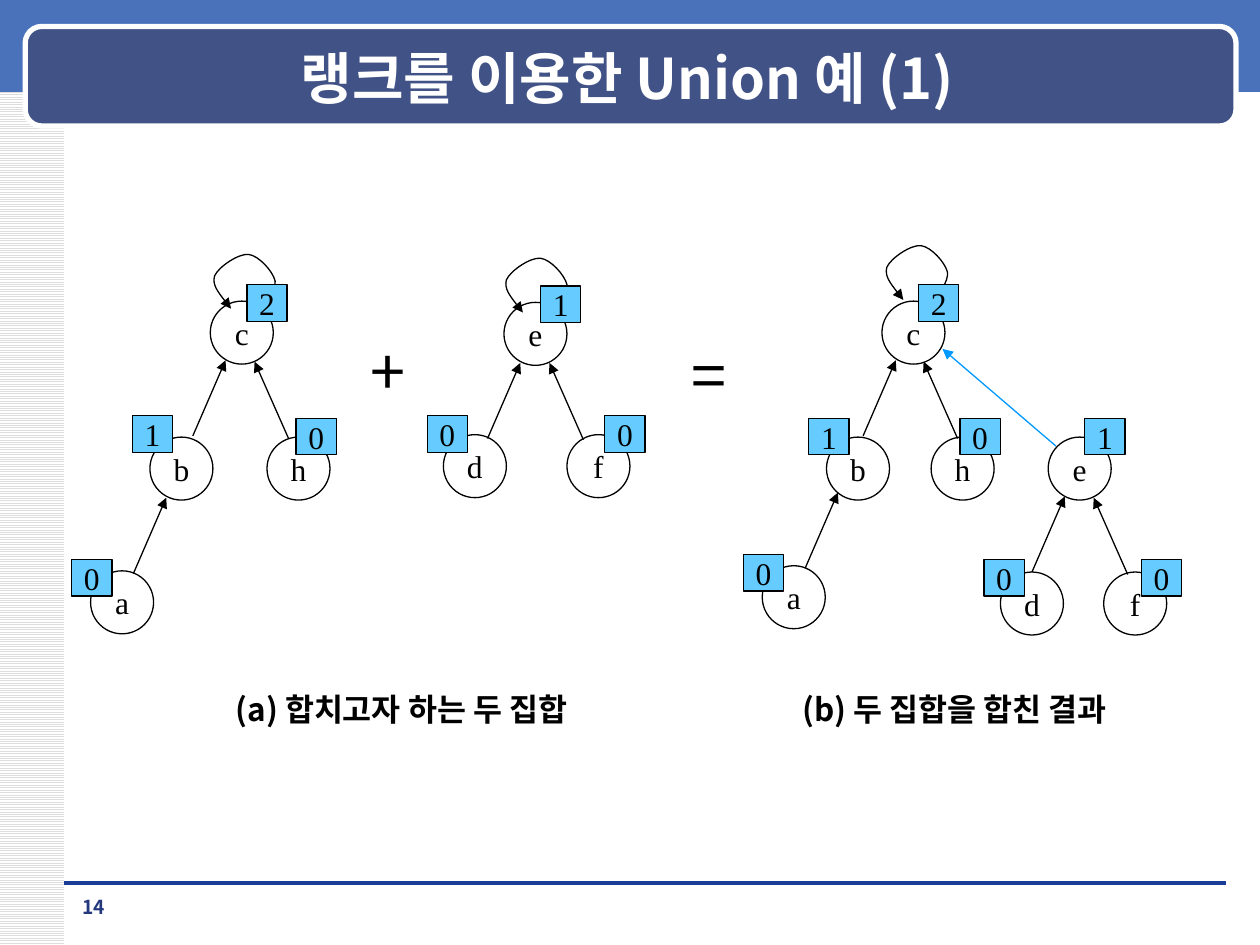
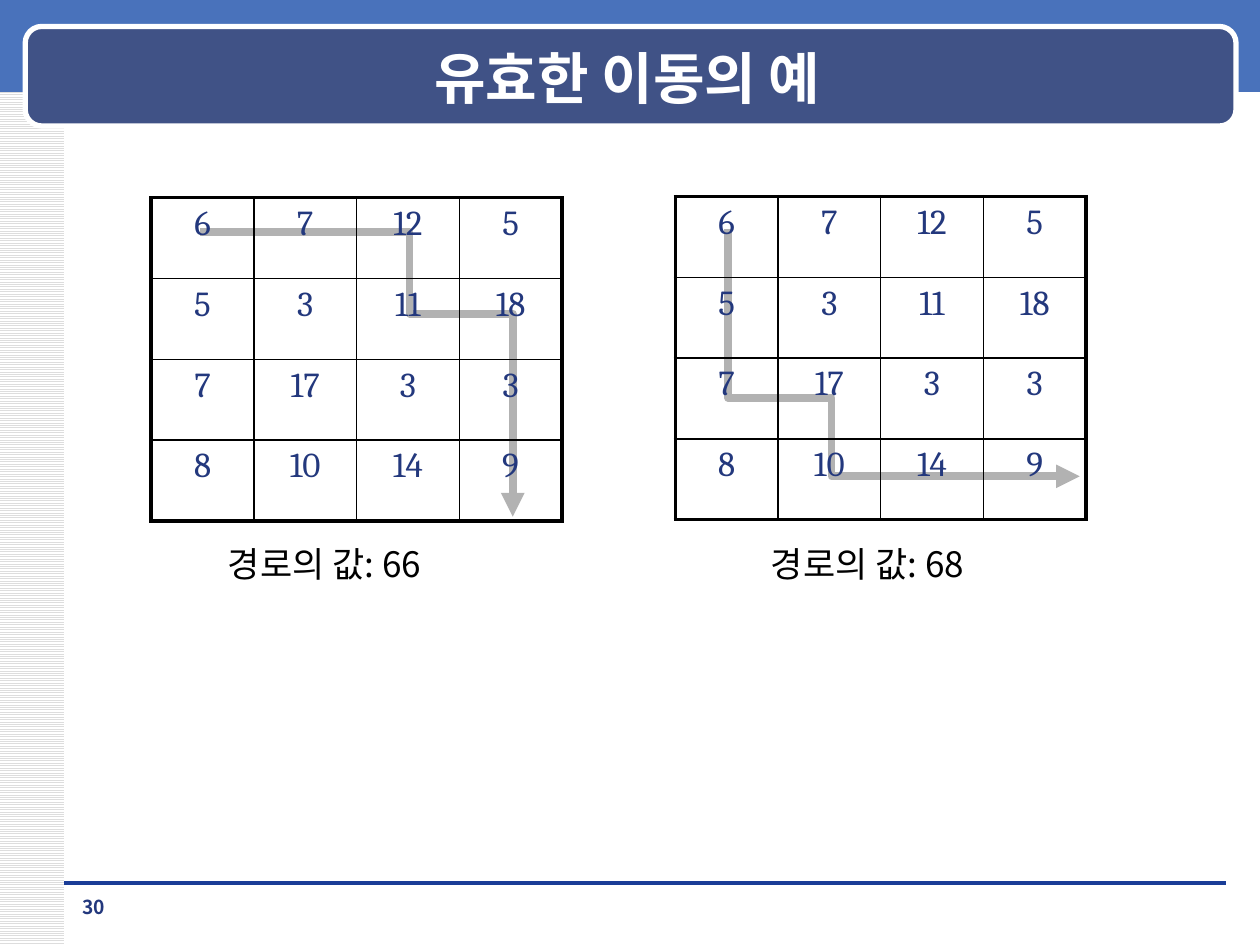
from lxml import etree
from pptx import Presentation
from pptx.dml.color import RGBColor
from pptx.enum.dml import MSO_PATTERN
from pptx.enum.shapes import MSO_CONNECTOR, MSO_SHAPE
from pptx.enum.text import MSO_ANCHOR, MSO_AUTO_SIZE, PP_ALIGN
from pptx.oxml.ns import qn
from pptx.util import Pt

RECT, ROUND, OVAL = MSO_SHAPE.RECTANGLE, MSO_SHAPE.ROUNDED_RECTANGLE, MSO_SHAPE.OVAL
LINE = MSO_CONNECTOR.STRAIGHT
LEFT, MID = PP_ALIGN.LEFT, PP_ALIGN.CENTER
GROW = MSO_AUTO_SIZE.SHAPE_TO_FIT_TEXT
SANS, SERIF, TIMES = "Noto Sans CJK KR", "Cambria", "Times New Roman"
HUE = {
    "white": "FFFFFF", "black": "000000", "navy": "23387D", "band": "4972BB",
    "plate": "405286", "rule": "1A3D97", "stripe": "DDDDDD", "rank": "66CCFF",
    "link": "0099FF", "route": "B2B2B2",
}


def write(frame, text, size=18, font=SANS, hue="black", bold=False, align=MID):
    par = frame.paragraphs[0]
    par.alignment = align
    run = par.add_run()
    run.text = text
    run.font.size, run.font.name, run.font.bold = Pt(size), font, bold
    run.font.color.rgb = RGBColor.from_string(HUE[hue])


def paint(part, fill=None, line=None, width=0.75, head=False):
    if fill:
        part.fill.solid()
        part.fill.fore_color.rgb = RGBColor.from_string(HUE[fill])
    elif hasattr(part, "fill"):
        part.fill.background()
    if line:
        part.line.color.rgb = RGBColor.from_string(HUE[line])
        part.line.width = Pt(width)
    else:
        part.line.fill.background()
    if head:
        stroke = part.element.find(".//" + qn("a:ln"))
        etree.SubElement(stroke, qn("a:tailEnd"), type="triangle")
    if hasattr(part, "shadow"):
        part.shadow.inherit = False
    else:
        etree.SubElement(part.element.find(qn("p:spPr")), qn("a:effectLst"))


deck = Presentation()
deck.slide_width, deck.slide_height = Pt(720), Pt(540)
layout = deck.slide_layouts[5]
for holder in list(layout.placeholders)[1:]:
    holder.element.getparent().remove(holder.element)

# Titles and page numbers
slides = []
for name, page in (("랭크를 이용한 Union 예 (1)", "14"), ("유효한 이동의 예", "30")):
    slide = deck.slides.add_slide(layout)
    slides.append(slide)
    title = slide.shapes.title
    title.left, title.top, title.width, title.height = Pt(51.1), Pt(21.6), Pt(614.9), Pt(44.6)
    title.text_frame.vertical_anchor = MSO_ANCHOR.MIDDLE
    write(title.text_frame, name, size=32, hue="white", bold=True)
union, moves = slides

# Shared bands, built once and moved to the layout behind the title
shapes = union.shapes
strip = shapes.add_shape(RECT, Pt(0), Pt(0), Pt(36.7), Pt(540))
paint(strip)
strip.fill.patterned()
strip.fill.pattern = MSO_PATTERN.LIGHT_HORIZONTAL
strip.fill.fore_color.rgb = RGBColor.from_string(HUE["stripe"])
strip.fill.back_color.rgb = RGBColor.from_string(HUE["white"])
band = shapes.add_shape(RECT, Pt(0), Pt(-2.2), Pt(720), Pt(54.7))
paint(band, fill="band")
rule = shapes.add_connector(LINE, Pt(36.7), Pt(504.7), Pt(700.6), Pt(504.7))
paint(rule, line="rule", width=0)
plate = shapes.add_shape(ROUND, Pt(14.4), Pt(15.1), Pt(691.9), Pt(56.9))
paint(plate, fill="plate", line="white", width=3)
for spot, part in enumerate((strip, band, rule, plate), 2):
    layout.shapes.element.insert(spot, part.element)

# Loops on the roots: start point, then three points for each curve
LOOP = [(25.9, 34.6), (31, 28.1), (36.7, 21.6), (36, 15.8), (34.6, 10.1), (26.6, 1.4),
        (20.9, 0.7), (15.1, 0), (3.6, 7.9), (1.4, 13), (0, 18), (5, 24.5), (10.8, 31.7)]
for x, y in ((288, 146.9), (121.2, 144.7), (505.4, 139.7)):
    dots = [(Pt(x + dx), Pt(y + dy)) for dx, dy in LOOP]
    pen = shapes.build_freeform(*dots[0])
    pen.add_line_segments(dots[1:], close=False)
    loop = pen.convert_to_shape()
    paint(loop, line="black", head=True)
    steps = list(loop.element.iter(qn("a:lnTo")))
    track = steps[0].getparent()
    for i in range(0, len(steps), 3):
        curve = etree.SubElement(track, qn("a:cubicBezTo"))
        for step in steps[i:i + 3]:
            curve.append(step[0])
            track.remove(step)

# Nodes with their ranks: letter, x, y, rank, rank x, rank y
NODES = [
    ("c", 120.2, 172.1, "2", 141.1, 162.7), ("b", 85.7, 249.8, "1", 75.6, 237.6),
    ("h", 152.6, 249.8, "0", 169.2, 239), ("a", 51.8, 326.2, "0", 41, 319.7),
    ("e", 288, 172.8, "1", 308.9, 163.4), ("d", 253.4, 248.4, "0", 244.1, 237.6),
    ("f", 324, 248.4, "0", 345.6, 237.6),
    ("c", 504, 172.1, "2", 524.9, 162.7), ("b", 472.3, 249.8, "1", 462.2, 239),
    ("h", 532.1, 249.8, "0", 548.6, 239), ("a", 435.6, 323.3, "0", 424.8, 316.8),
    ("e", 599, 249.8, "1", 619.9, 239), ("d", 571.7, 326.9, "0", 562.3, 319.7),
    ("f", 630.7, 326.9, "0", 652.3, 319.7),
]
for key, x, y, rank, rx, ry in NODES:
    node = shapes.add_shape(OVAL, Pt(x), Pt(y), Pt(36), Pt(36))
    paint(node, line="black")
    badge = shapes.add_shape(RECT, Pt(rx), Pt(ry), Pt(23), Pt(20.9))
    paint(badge, fill="rank", line="black")
    for part, text in ((node, key), (badge, rank)):
        part.text_frame.word_wrap = False
        part.text_frame.vertical_anchor = MSO_ANCHOR.MIDDLE
        write(part.text_frame, text, font=TIMES)

# Arrows from child to parent: all that lean one way share one slope
RIGHT = [(110.2, 249.1), (76.3, 327.6), (278.6, 250.6),
         (589.7, 326.9), (460.1, 324.7), (493.2, 249.1)]
BACK = [(164.9, 250.6), (333.4, 251.3), (644.4, 328.3), (547.2, 250.6)]
edges = [(x, y, x + 18.7, y - 43.2, "black") for x, y in RIGHT]
edges += [(x, y, x - 19.4, y - 43.9, "black") for x, y in BACK]
edges.append((603.4, 254.9, 538.6, 199.4, "link"))
for *ends, hue in edges:
    edge = shapes.add_connector(LINE, *[Pt(end) for end in ends])
    paint(edge, line=hue, head=True)

# Routes, behind the tables
ROUTES = [
    [(416.2, 131), (416.2, 227.5), (475.2, 227.5), (475.2, 272.2), (617, 272.2)],
    [(114.5, 132.5), (234, 132.5), (234, 179.3), (293, 179.3), (293, 295.2)],
]
for route in ROUTES:
    dots = [(Pt(x), Pt(y)) for x, y in route]
    pen = moves.shapes.build_freeform(*dots[0])
    pen.add_line_segments(dots[1:], close=False)
    paint(pen.convert_to_shape(), line="route", width=4.5, head=True)

# Tables with a heavy outer frame
GRID = [(6, 7, 12, 5), (5, 3, 11, 18), (7, 17, 3, 3), (8, 10, 14, 9)]
for x, y in ((385.9, 112.3), (86.4, 113)):
    board = moves.shapes.add_table(4, 4, Pt(x), Pt(y), Pt(234.8), Pt(184.8))
    table = board.table
    table.first_row = table.horz_banding = False
    for r, row in enumerate(GRID):
        for c, value in enumerate(row):
            cell = table.cell(r, c)
            cell.fill.background()
            write(cell.text_frame, str(value), size=20, font=SERIF, hue="navy")
    for i, tc in enumerate(board.element.iter(qn("a:tc"))):
        r, c = divmod(i, 4)
        sides = (("L", c == 0), ("R", c == 3), ("T", r == 0), ("B", r == 3))
        for spot, (side, outer) in enumerate(sides):
            edge = etree.Element(qn("a:ln" + side), w=str(Pt(2.25 if outer else 1)))
            ink = etree.SubElement(edge, qn("a:solidFill"))
            etree.SubElement(ink, qn("a:srgbClr"), val=HUE["black"])
            tc.find(qn("a:tcPr")).insert(spot, edge)
        gap = etree.SubElement(tc.find(".//" + qn("a:pPr")), qn("a:spcBef"))
        etree.SubElement(gap, qn("a:spcPct"), val="20000")

# Signs, captions and page numbers: slide, text, box, wrap, grow, format
PAGE = dict(size=11, hue="navy", bold=True)
SIGN = dict(size=36, align=LEFT)
COST = dict(size=20, align=LEFT)
LABELS = [
    (union, "14", (36.7, 508.3, 33.8, 19.4), True, False, PAGE),
    (moves, "30", (36.7, 508.3, 33.8, 19.4), True, False, PAGE),
    (union, "+", (204.5, 186.5, 36.7, 50.4), False, True, SIGN),
    (union, "=", (388.1, 188.6, 36.7, 50.4), False, True, SIGN),
    (union, "(a) 합치고자 하는 두 집합", (95.8, 391, 267.1, 28.8), True, True, dict(bold=True)),
    (union, "(b) 두 집합을 합친 결과", (451.4, 391, 212.4, 28.8), True, True,
     dict(bold=True, align=LEFT)),
    (moves, "경로의 값: 66", (123.1, 306.7, 136.1, 31.7), False, True, COST),
    (moves, "경로의 값: 68", (433.4, 306.7, 136.1, 31.7), False, True, COST),
]
for slide, text, box, wrap, grow, style in LABELS:
    label = slide.shapes.add_textbox(*[Pt(n) for n in box])
    label.text_frame.word_wrap = wrap
    if grow:
        label.text_frame.auto_size = GROW
    write(label.text_frame, text, **style)

# Same font for Korean as for Latin letters
for slide in slides:
    for latin in list(slide.shapes.element.iter(qn("a:latin"))):
        latin.addnext(etree.Element(qn("a:ea"), typeface=latin.get("typeface")))

deck.save("out.pptx")
